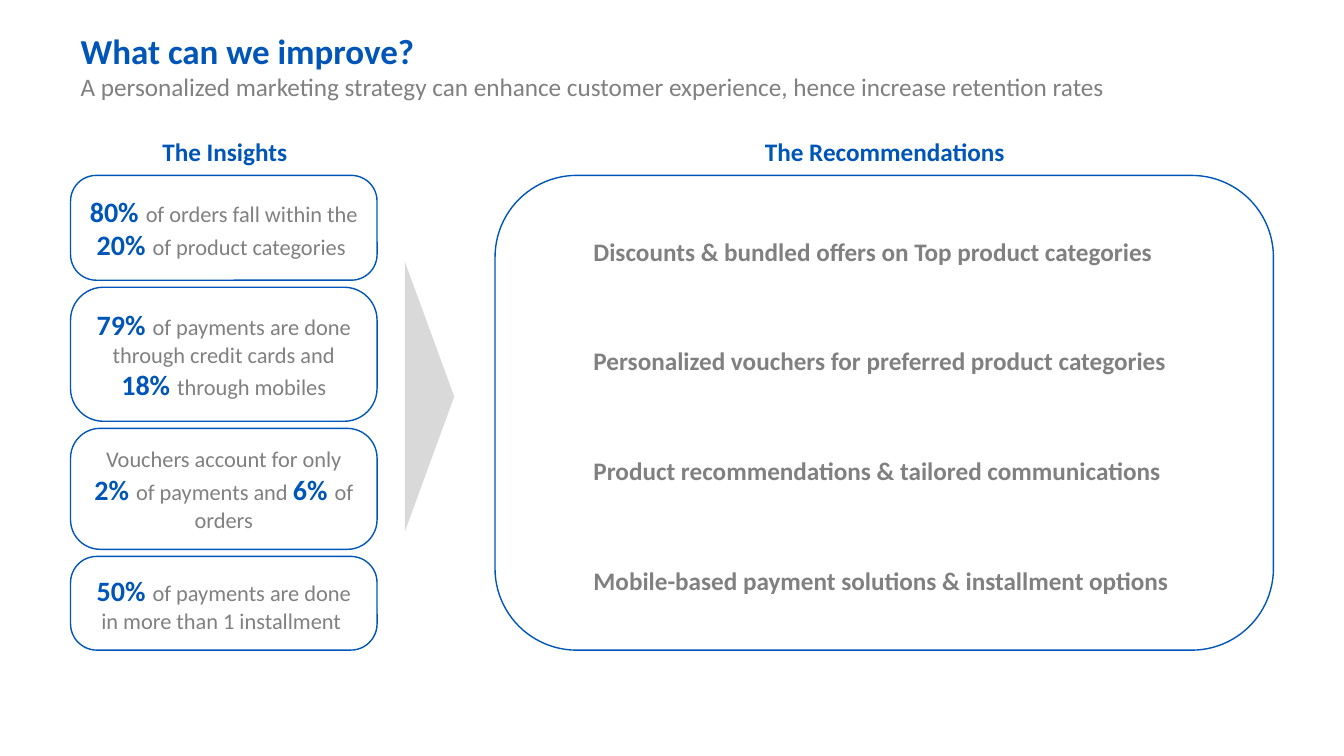
from itertools import accumulate
from pptx import Presentation
from pptx.dml.color import RGBColor
from pptx.enum import shapes, text
from pptx.util import Inches, Pt

# Content
TITLE = "What can we improve?"
SUBTITLE = ("A personalized marketing strategy can enhance customer experience, "
            "hence increase retention rates")
INSIGHTS_HEADING = "The Insights"
RECOMMENDATIONS_HEADING = "The Recommendations"
# Each insight: height, corner, then (figure, words after it)
INSIGHTS = [
    (1.04, 0.245, [("80%", "of orders fall within the "), ("20%", "of product categories ")]),
    (1.33, 0.245, [("79%", "of payments are done through credit cards and "),
                   ("18%", "through mobiles")]),
    (1.20, 0.245, [("", "Vouchers account for only "), ("2%", "of payments and "),
                   ("6%", "of orders")]),
    (0.93, 0.28, [("50%", "of payments are done in more than 1 installment ")]),
]
RECOMMENDATIONS = [
    "Discounts & bundled offers on Top product categories",
    "Personalized vouchers for preferred product categories",
    "Product recommendations & tailored communications",
    "Mobile-based payment solutions & installment options",
]
COLORS = {"blue": "0055B8", "grey": "808080", "arrow": "D9D9D9"}

# Layout, in inches
LEFT, TOP, GAP = 0.7, 1.74, 0.07
INSIGHT_WIDTH = 3.04
PANEL_LEFT, PANEL_WIDTH, PANEL_HEIGHT = 4.91, 7.72, 4.71
ROW_LEFT, ROW_TOP, ROW_WIDTH, ROW_HEIGHT, ROW_PITCH = 5.77, 2.2, 6.68, 0.58, 1.09

prs = Presentation()
prs.slide_width, prs.slide_height = Inches(13.33), Inches(7.5)
slide = prs.slides.add_slide(prs.slide_layouts[5])


def color(name):
    return RGBColor.from_string(COLORS[name])


def style(run, size, name, bold, font="Calibri"):
    run.font.size, run.font.bold, run.font.name = Pt(size), bold, font
    run.font.color.rgb = color(name)


def add_run(paragraph, words, *look):
    run = paragraph.add_run()
    run.text = words
    style(run, *look)


def add_box(kind, box, line=None, fill=None, corner=None):
    shape = slide.shapes.add_shape(kind, *map(Inches, box))
    shape.shadow.inherit = False
    if corner is not None:
        shape.adjustments[0] = corner
    if fill:
        shape.fill.solid()
        shape.fill.fore_color.rgb = color(fill)
    else:
        shape.fill.background()
    if line:
        shape.line.color.rgb = color(line)
        shape.line.width = Pt(1)
    else:
        shape.line.fill.background()
    shape.text_frame.word_wrap = True
    shape.text_frame.vertical_anchor = text.MSO_ANCHOR.MIDDLE
    return shape


def add_heading(words, box):
    frame = slide.shapes.add_textbox(*map(Inches, box)).text_frame
    frame.word_wrap = True
    frame.text = words
    frame.paragraphs[0].alignment = text.PP_ALIGN.CENTER
    style(frame.paragraphs[0].runs[0], 18, "blue", True)


# Title and subtitle
title = slide.shapes.title
title.left, title.top, title.width, title.height = map(Inches, (LEFT, 0.24, 11.94, 0.82))
title.text_frame.text = f"{TITLE}\n{SUBTITLE}"
title.text_frame.word_wrap = True
title.text_frame.auto_size = text.MSO_AUTO_SIZE.NONE
title.text_frame.vertical_anchor = text.MSO_ANCHOR.TOP
for paragraph, look in zip(title.text_frame.paragraphs,
                           [(25, "blue", True), (18, "grey", False)]):
    paragraph.alignment = text.PP_ALIGN.LEFT
    style(paragraph.runs[0], *look)

# Column headings
add_heading(INSIGHTS_HEADING, (0.72, 1.3, 3.02, 0.4))
add_heading(RECOMMENDATIONS_HEADING, (6.94, 1.3, 3.67, 0.4))

# Insights stacked with equal gaps
ROUNDED = shapes.MSO_SHAPE.ROUNDED_RECTANGLE
insight_tops = accumulate((height + GAP for height, _, _ in INSIGHTS), initial=TOP)
for top, (height, corner, parts) in zip(insight_tops, INSIGHTS):
    insight = add_box(ROUNDED, (LEFT, top, INSIGHT_WIDTH, height), "blue", corner=corner)
    paragraph = insight.text_frame.paragraphs[0]
    paragraph.alignment = text.PP_ALIGN.CENTER
    for figure, words in parts:
        if figure:
            add_run(paragraph, figure, 20, "blue", True)
            add_run(paragraph, " ", 18, "blue", True, "Arial")
        add_run(paragraph, words, 16, "grey", False)

# Arrow from insights to recommendations
arrow = add_box(shapes.MSO_SHAPE.ISOSCELES_TRIANGLE, (2.92, 3.69, 2.68, 0.49), fill="arrow")
arrow.rotation = 90

# Recommendations inside their panel
for row, words in enumerate(RECOMMENDATIONS):
    recommendation = add_box(
        ROUNDED, (ROW_LEFT, ROW_TOP + row * ROW_PITCH, ROW_WIDTH, ROW_HEIGHT), corner=0.104)
    recommendation.text_frame.text = words
    paragraph = recommendation.text_frame.paragraphs[0]
    paragraph.alignment = text.PP_ALIGN.LEFT
    style(paragraph.runs[0], 18, "grey", True)
add_box(ROUNDED, (PANEL_LEFT, TOP, PANEL_WIDTH, PANEL_HEIGHT), "blue", corner=0.172)

prs.save("out.pptx")
